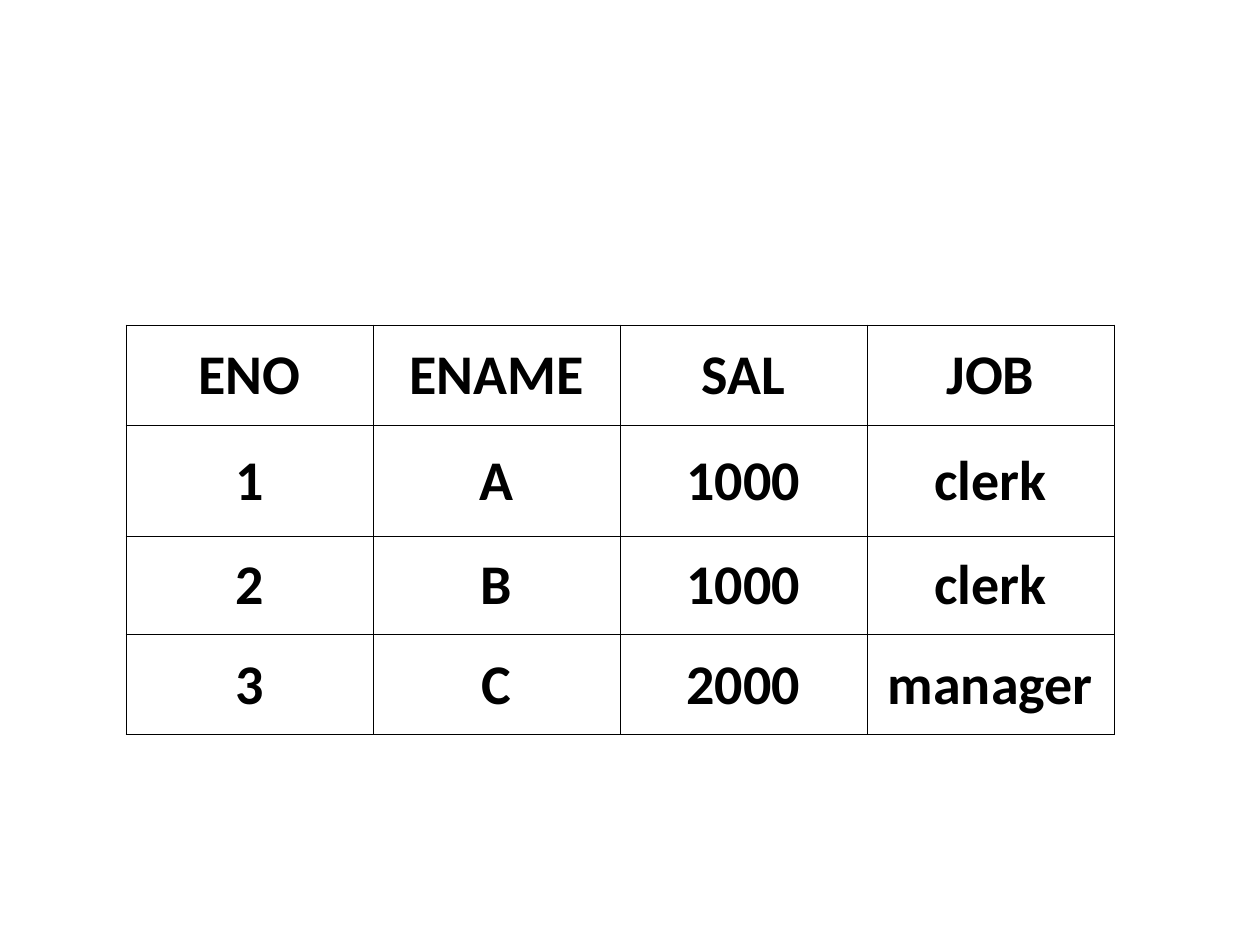
"""Build a slide with a table of employees, their salaries and jobs."""
import lxml.etree
import pptx
import pptx.dml.color
import pptx.enum.text
import pptx.oxml.ns
import pptx.util

PX = pptx.util.Inches(1) // 126
BLACK = pptx.dml.color.RGBColor(0, 0, 0)
BORDER_WIDTH = pptx.util.Pt(0.5)
COLUMN_WIDTH = 247
ROW_HEIGHTS = [100, 111, 99, 100]
EMPLOYEES = [
    ["ENO", "ENAME", "SAL", "JOB"],
    ["1", "A", "1000", "clerk"],
    ["2", "B", "1000", "clerk"],
    ["3", "C", "2000", "manager"],
]


def add_borders(cell):
    properties = cell._tc.get_or_add_tcPr()
    for side in ("a:lnL", "a:lnR", "a:lnT", "a:lnB"):
        line = lxml.etree.SubElement(properties, pptx.oxml.ns.qn(side), w=str(BORDER_WIDTH))
        fill = lxml.etree.SubElement(line, pptx.oxml.ns.qn("a:solidFill"))
        lxml.etree.SubElement(fill, pptx.oxml.ns.qn("a:srgbClr"), val=str(BLACK))


presentation = pptx.Presentation()
presentation.slide_width = 1260 * PX
presentation.slide_height = 945 * PX
slide = presentation.slides.add_slide(presentation.slide_layouts[6])

column_count = len(EMPLOYEES[0])
table = slide.shapes.add_table(
    len(EMPLOYEES), column_count, 126 * PX, 325 * PX,
    column_count * COLUMN_WIDTH * PX, sum(ROW_HEIGHTS) * PX,
).table
table.first_row = False
table.horz_banding = False
for column in table.columns:
    column.width = COLUMN_WIDTH * PX

for row, height, values in zip(table.rows, ROW_HEIGHTS, EMPLOYEES):
    row.height = height * PX
    for cell, value in zip(row.cells, values):
        cell.text = value
        cell.vertical_anchor = pptx.enum.text.MSO_ANCHOR.MIDDLE
        cell.margin_left = cell.margin_right = cell.margin_top = PX
        cell.margin_bottom = 0
        add_borders(cell)
        cell.fill.background()
        paragraph = cell.text_frame.paragraphs[0]
        paragraph.alignment = pptx.enum.text.PP_ALIGN.CENTER
        paragraph.font.name = "Calibri"
        paragraph.font.size = pptx.util.Pt(32)
        paragraph.font.bold = True
        paragraph.font.color.rgb = BLACK

presentation.save("out.pptx")
